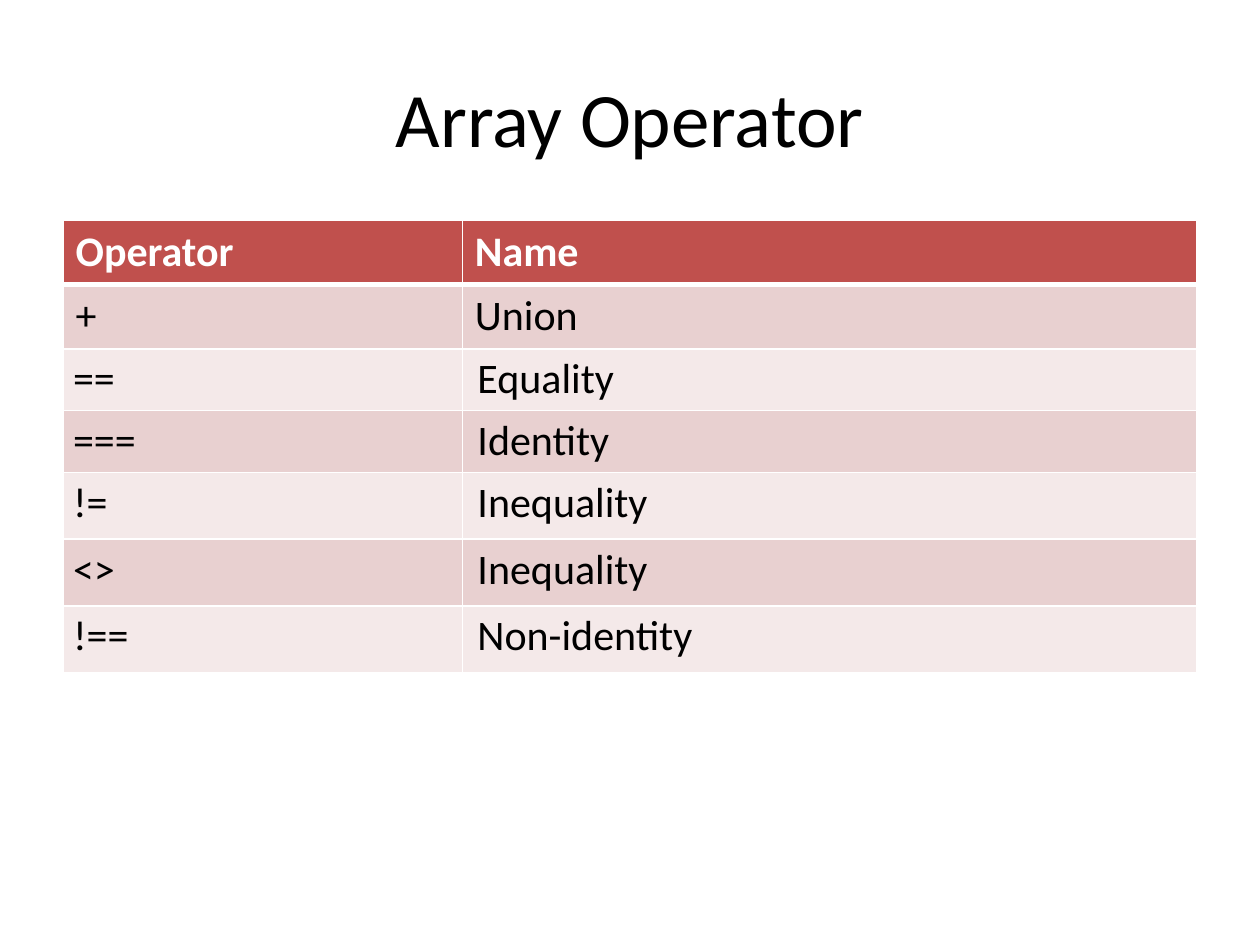
from pptx import Presentation
from pptx.util import Inches, Pt
from pptx.dml.color import RGBColor
from pptx.enum.text import PP_ALIGN, MSO_ANCHOR
from pptx.oxml import parse_xml
from pptx.oxml.ns import nsdecls

theme = {
    "font": "Calibri", "title": 44, "body": 24,
    "ink": "000000", "light": "FFFFFF", "head": "C0504D",
    "bands": ("F4E9E9", "E8D0D0"),
}
rows = [
    ("Operator", "Name"),
    ("+", "Union"),
    ("==", "Equality"),
    ("===", "Identity"),
    ("!=", "Inequality"),
    ("<>", "Inequality"),
    ("!==", "Non-identity"),
]
heights = [0.51] * 2 + [0.49] * 2 + [0.53] * 3


def style(para, size, color, bold=False):
    font = para.runs[0].font
    looks = {"name": theme["font"], "size": Pt(size), "bold": bold}
    for key, value in looks.items():
        setattr(font, key, value)
    font.color.rgb = RGBColor.from_string(color)


def edge(cell, side, width):
    cell._tc.get_or_add_tcPr().append(parse_xml(
        f'<a:{side} {nsdecls("a")} w="{int(Pt(width))}"><a:solidFill>'
        f'<a:srgbClr val="{theme["light"]}"/></a:solidFill></a:{side}>'))


deck = Presentation()
deck.slide_width, deck.slide_height = Inches(10), Inches(7.5)
wide, high = deck.slide_width, deck.slide_height
slide = deck.slides.add_slide(deck.slide_layouts[6])
left, span = int(wide * 0.05), int(wide * 0.9)

# Title
title = slide.shapes.add_textbox(left, int(high * 0.04), span, Inches(1.25))
frame = title.text_frame
frame.word_wrap = True
frame.vertical_anchor = MSO_ANCHOR.MIDDLE
frame.text = "Array Operator"
frame.paragraphs[0].alignment = PP_ALIGN.CENTER
style(frame.paragraphs[0], theme["title"], theme["ink"])

# Table grid
table = slide.shapes.add_table(
    len(rows), 2, left, Inches(1.75), span, Inches(sum(heights))).table
for col, width in zip(table.columns, (3.17, 5.83)):
    col.width = Inches(width)
for row, height in zip(table.rows, heights):
    row.height = Inches(height)

# Cells: the first two rows have wider margins than the rest
for r, words in enumerate(rows):
    head = r == 0
    fill = theme["head"] if head else theme["bands"][r % 2]
    for c, word in enumerate(words):
        cell = table.cell(r, c)
        cell.text = word
        pads = {"left": 0.1, "right": 0.1, "top": 0.05, "bottom": 0.05}
        if r > 1:
            pads = {"left": (0.08, 0.12)[c], "right": 0.04,
                    "top": 0.04, "bottom": 0.04}
        for side, pad in pads.items():
            setattr(cell, f"margin_{side}", Inches(pad))
        style(cell.text_frame.paragraphs[0], theme["body"],
              theme["light" if head else "ink"], head)
        for side in ("lnL", "lnR", "lnT", "lnB"):
            thick = (head and side == "lnB") or (r == 1 and side == "lnT")
            edge(cell, side, 3 if thick else 1)
        cell.fill.solid()
        cell.fill.fore_color.rgb = RGBColor.from_string(fill)

deck.save("out.pptx")
